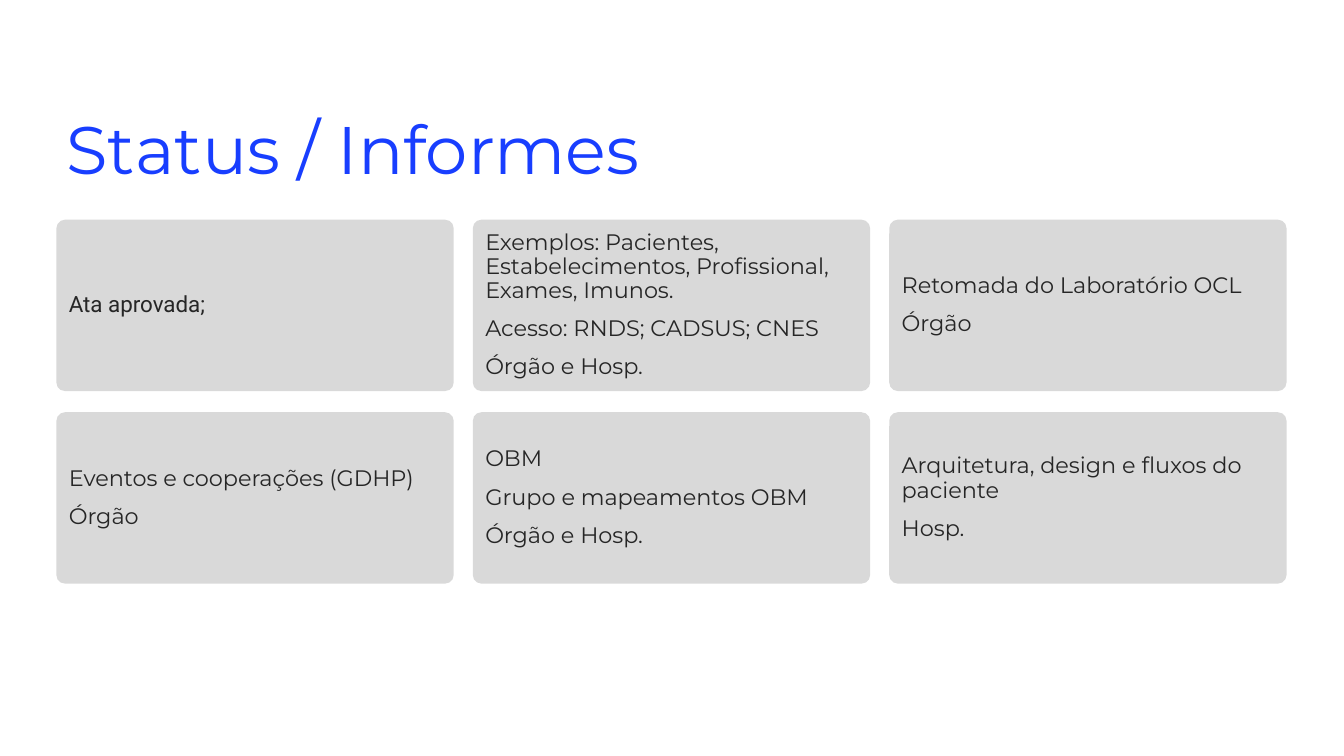
from pptx import Presentation
from pptx.dml.color import RGBColor
from pptx.enum.shapes import MSO_SHAPE as Shape
from pptx.enum.text import MSO_ANCHOR as Anchor, MSO_AUTO_SIZE as AutoSize, PP_ALIGN as Align
from pptx.util import Inches, Pt


def rgb(value):
    return RGBColor.from_string(value)


def write(frame, lines, size, font, color):
    frame.word_wrap = True
    frame.auto_size = AutoSize.NONE
    frame.text = "\n".join(lines)
    for index, paragraph in enumerate(frame.paragraphs):
        paragraph.alignment = Align.LEFT
        paragraph.line_spacing = 0.9
        paragraph.space_before = Pt(10 if index else 0)
        paragraph.font.size = Pt(size)
        paragraph.font.name = font
        paragraph.font.color.rgb = rgb(color)


prs = Presentation()
prs.slide_width = Inches(13.33)
prs.slide_height = Inches(7.5)
slide = prs.slides.add_slide(prs.slide_layouts[5])

# Title
title = slide.shapes.title
title.left, title.top = Inches(0.56), Inches(1.11)
title.width, title.height = Inches(8.73), Inches(0.65)
title.text_frame.vertical_anchor = Anchor.TOP
write(title.text_frame, ["Status / Informes"], 48, "Montserrat", "183EFF")

# Cards, row by row: font and lines of each
topics = [
    [
        ("Roboto", ["Ata aprovada;"]),
        ("Montserrat", [
            "Exemplos: Pacientes, Estabelecimentos, Profissional, Exames, Imunos.",
            "Acesso: RNDS; CADSUS; CNES",
            "Órgão e Hosp.",
        ]),
        ("Montserrat", ["Retomada do Laboratório OCL", "Órgão"]),
    ],
    [
        ("Montserrat", ["Eventos e cooperações (GDHP)", "Órgão"]),
        ("Montserrat", ["OBM", "Grupo e mapeamentos OBM", "Órgão e Hosp."]),
        ("Montserrat", ["Arquitetura, design e fluxos do paciente", "Hosp."]),
    ],
]
for row, row_topics in enumerate(topics):
    for column, (font, lines) in enumerate(row_topics):
        card = slide.shapes.add_shape(
            Shape.ROUNDED_RECTANGLE,
            Inches(0.56 + 4.13 * column), Inches(2.18 + 1.91 * row),
            Inches(3.94), Inches(1.7))
        card.adjustments[0] = 0.05
        card.shadow.inherit = False
        card.fill.solid()
        card.fill.fore_color.rgb = rgb("D9D9D9")
        card.line.fill.background()
        card.text_frame.vertical_anchor = Anchor.MIDDLE
        write(card.text_frame, lines, 16, font, "262626")

prs.save("out.pptx")
